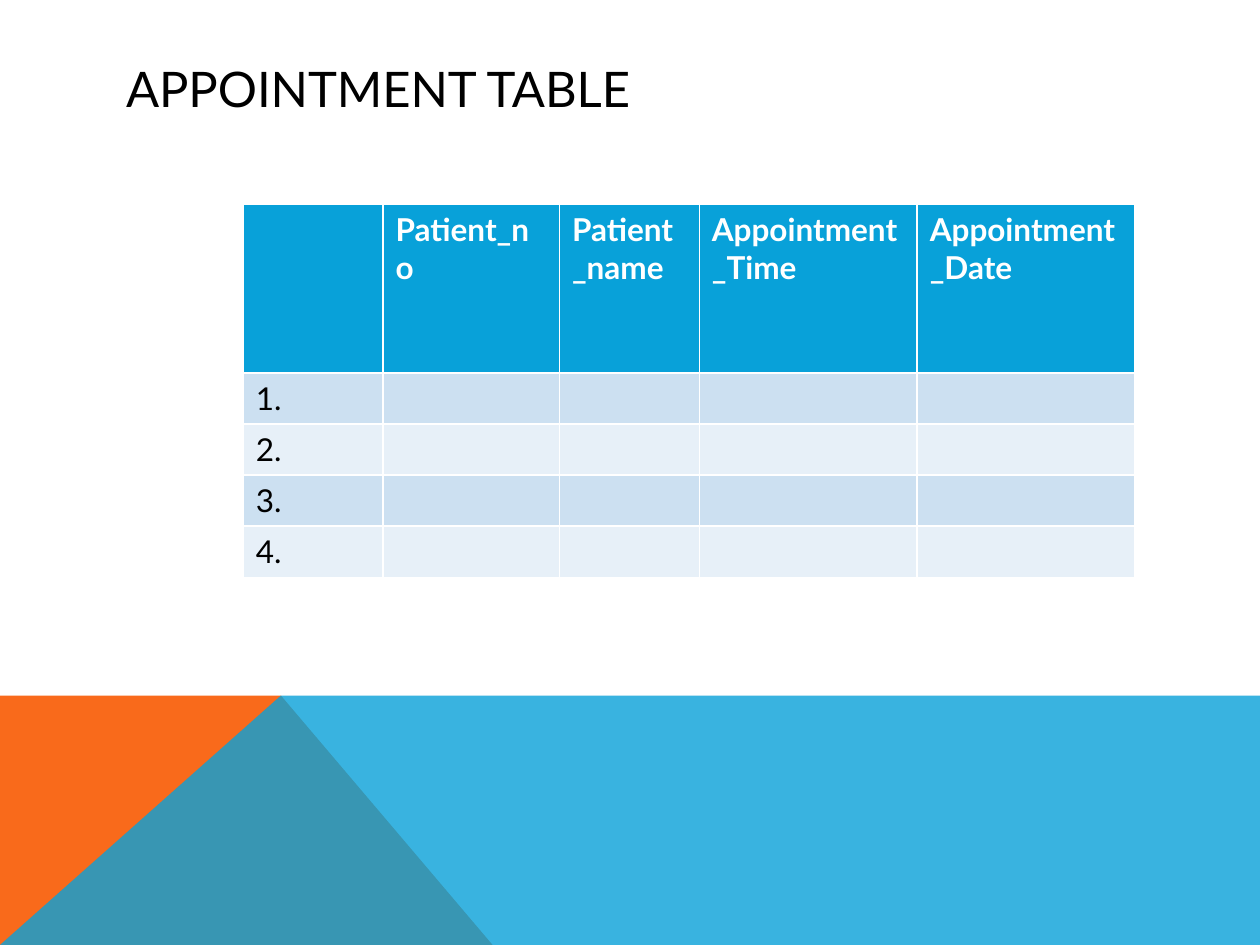
import pptx
import pptx.util
import pptx.dml.color
import pptx.enum.text
import pptx.oxml.ns
from lxml import etree

Inches, Pt = pptx.util.Inches, pptx.util.Pt
COLORS = {"blue": "08A1D9", "orange": "F96A1B", "odd": "CCE0F1",
          "even": "E7F0F8", "black": "000000", "white": "FFFFFF"}
FONT = "Lato"
W, H = 10, 7.5
BAND_TOP, PEAK_X, ORANGE_RIGHT = 5.52, 2.23, 3.91


def rgb(name):
    """Return the named colour of the palette."""
    return pptx.dml.color.RGBColor.from_string(COLORS[name])


def style_text(tf, size, color, bold=False):
    """Format every run of a text frame."""
    for p in tf.paragraphs:
        for r in p.runs:
            r.font.name, r.font.size, r.font.bold = FONT, Pt(size), bold
            r.font.color.rgb = rgb(color)


prs = pptx.Presentation()
prs.slide_width, prs.slide_height = Inches(W), Inches(H)
slide = prs.slides.add_slide(prs.slide_layouts[5])

# Footer band: an orange corner under a translucent blue area
bands = [
    ("orange", 100, [(0, H), (0, BAND_TOP), (PEAK_X, BAND_TOP), (ORANGE_RIGHT, H)]),
    ("blue", 80, [(0, H), (PEAK_X, BAND_TOP), (W, BAND_TOP), (W, H)]),
]
for color, opacity, corners in bands:
    points = [(Inches(x), Inches(y)) for x, y in corners]
    builder = slide.shapes.build_freeform(*points[0])
    builder.add_line_segments(points[1:], close=True)
    sp = builder.convert_to_shape()
    sp.shadow.inherit = False
    sp.fill.solid()
    sp.fill.fore_color.rgb = rgb(color)
    sp.line.fill.background()
    if opacity < 100:
        clr = sp.fill._xPr.find(".//" + pptx.oxml.ns.qn("a:srgbClr"))
        etree.SubElement(clr, pptx.oxml.ns.qn("a:alpha"), val=str(opacity * 1000))

# Title
title = slide.shapes.title
title.left, title.top, title.width, title.height = map(Inches, (0.9, 0.4, 8.22, 0.6))
tf = title.text_frame
tf.text = "APPOINTMENT TABLE"
tf.vertical_anchor = pptx.enum.text.MSO_ANCHOR.MIDDLE
tf.paragraphs[0].alignment = pptx.enum.text.PP_ALIGN.LEFT
style_text(tf, 28, "black")

# Appointment table
headers = ["", "Patient_no", "Patient_name", "Appointment_Time", "Appointment_Date"]
col_widths = [1.11, 1.4, 1.11, 1.73, 1.73]
row_heights = [1.34] + [0.405] * 4
rows = [headers] + [[f"{n}."] + [""] * 4 for n in range(1, 5)]
table = slide.shapes.add_table(
    len(rows), len(headers), Inches(1.93), Inches(1.62),
    Inches(sum(col_widths)), Inches(sum(row_heights))).table
for col, width in zip(table.columns, col_widths):
    col.width = Inches(width)
for i, (row, height) in enumerate(zip(rows, row_heights)):
    table.rows[i].height = Inches(height)
    fill = "blue" if i == 0 else "odd" if i % 2 else "even"
    for j, text in enumerate(row):
        cell = table.cell(i, j)
        cell.fill.solid()
        cell.fill.fore_color.rgb = rgb(fill)
        if text:
            cell.text_frame.text = text
            style_text(cell.text_frame, 18, "black" if i else "white", bold=i == 0)

prs.save("out.pptx")
